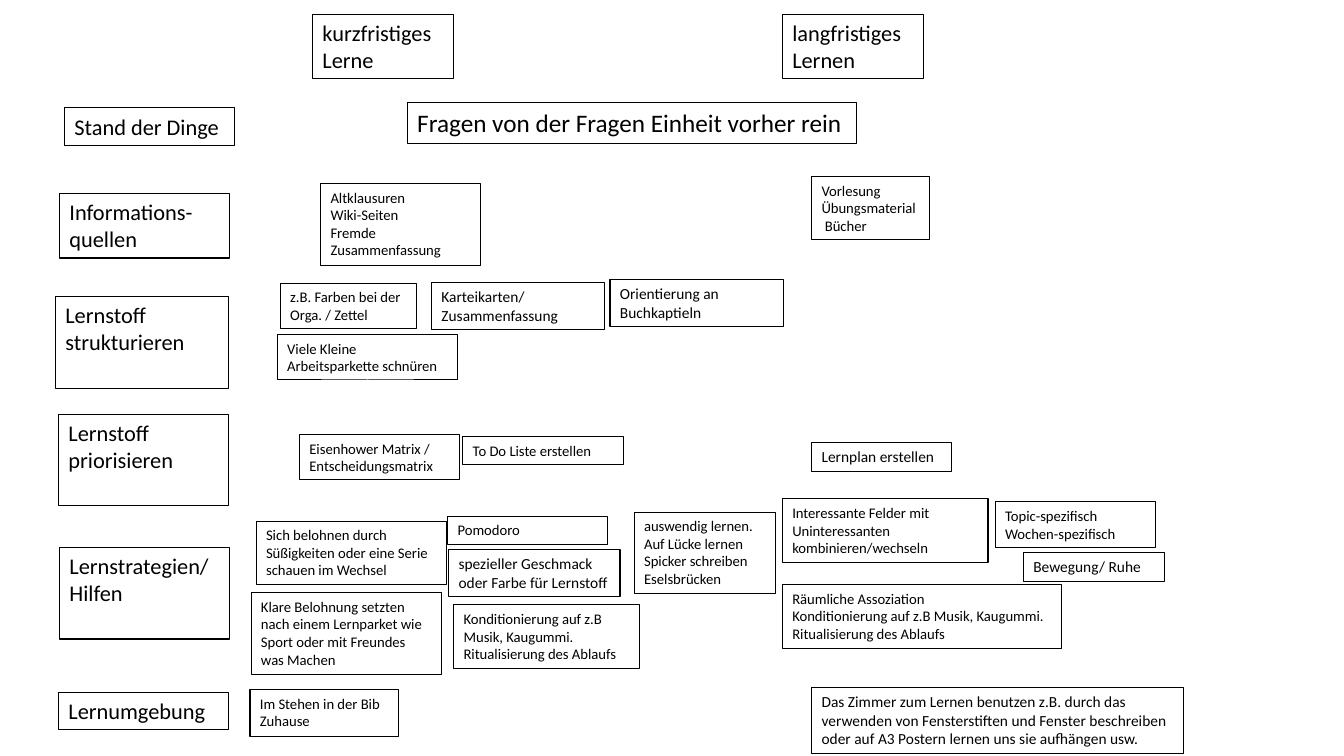
from pptx import Presentation
from pptx.dml.color import RGBColor
from pptx.enum.text import MSO_ANCHOR, MSO_AUTO_SIZE
from pptx.util import Inches, Pt

COLORS = {"ink": "000000"}
FONT = "Calibri"
HEADING_SIZE, QUESTION_SIZE, LARGE_NOTE, SMALL_NOTE = 16, 18, 11, 10.5

# Each entry: left, top, width, height in inches, then one string per paragraph.
HEADINGS = [
    (3.1, 0.14, 1.4, 0.64, "kurzfristiges Lerne"),
    (7.76, 0.14, 1.4, 0.64, "langfristiges Lernen"),
    (0.64, 1.07, 1.69, 0.37, "Stand der Dinge"),
    (0.59, 1.92, 1.69, 0.64, "Informations-quellen"),
    (0.55, 2.94, 1.72, 0.91, "Lernstoff strukturieren"),
    (0.58, 4.11, 1.69, 0.91, "Lernstoff priorisieren"),
    (0.59, 5.43, 1.69, 0.91, "Lernstrategien/Hilfen"),
    (0.58, 6.87, 1.69, 0.37, "Lernumgebung"),
]
QUESTIONS = [(4.04, 1.02, 4.46, 0.4, "Fragen von der Fragen Einheit vorher rein")]
SMALL_NOTES = [
    (3.18, 1.82, 1.59, 0.81, "Altklausuren", "Wiki-Seiten", "Fremde Zusammenfassung"),
    (8.05, 1.75, 1.17, 0.63, "Vorlesung", "Übungsmaterial", " Bücher"),
    (2.78, 2.81, 1.35, 0.45, "z.B. Farben bei der Orga. / Zettel"),
    (2.75, 3.32, 1.79, 0.45, "Viele Kleine Arbeitsparkette schnüren"),
    (2.97, 4.31, 1.59, 0.45, "Eisenhower Matrix / Entscheidungsmatrix"),
    (4.59, 4.33, 1.59, 0.28, "To Do Liste erstellen"),
    (2.54, 5.17, 1.89, 0.63,
     "Sich belohnen durch Süßigkeiten oder eine Serie schauen im Wechsel"),
    (2.49, 5.88, 1.89, 0.81,
     "Klare Belohnung setzten nach einem Lernparket wie Sport oder mit Freundes was Machen"),
    (4.44, 5.12, 1.59, 0.28, "Pomodoro"),
    (4.5, 6, 1.84, 0.63,
     "Konditionierung auf z.B Musik, Kaugummi.", "Ritualisierung des Ablaufs"),
    (6.29, 5.08, 1.4, 0.81,
     "auswendig lernen. Auf Lücke lernen", "Spicker schreiben", "Eselsbrücken"),
    (7.76, 4.95, 2.04, 0.63,
     "Interessante Felder mit Uninteressanten kombinieren/wechseln"),
    (7.76, 5.8, 2.77, 0.63, "Räumliche Assoziation",
     "Konditionierung auf z.B Musik, Kaugummi.", "Ritualisierung des Ablaufs"),
    (9.87, 4.98, 1.59, 0.45, "Topic-spezifisch Wochen-spezifisch"),
    (2.48, 6.84, 1.47, 0.47, "Im Stehen in der Bib", "Zuhause"),
]
LARGE_NOTES = [
    (4.28, 2.8, 1.72, 0.47, "Karteikarten/ Zusammenfassung"),
    (6.05, 2.77, 1.72, 0.47, "Orientierung an Buchkaptieln"),
    (8.05, 4.39, 1.39, 0.29, "Lernplan erstellen"),
    (4.45, 5.45, 1.7, 0.47, "spezieller Geschmack oder Farbe für Lernstoff"),
    (10.15, 5.48, 1.4, 0.29, "Bewegung/ Ruhe"),
    (8.05, 6.82, 3.69, 0.66,
     "Das Zimmer zum Lernen benutzen z.B. durch das verwenden von Fensterstiften "
     "und Fenster beschreiben oder auf A3 Postern lernen uns sie aufhängen usw."),
]


def add_framed_text(page, left, top, width, height, lines, size):
    box = page.shapes.add_textbox(*map(Inches, (left, top, width, height)))
    ink = RGBColor.from_string(COLORS["ink"])
    box.line.color.rgb = ink
    box.line.width = Pt(0.75)
    frame = box.text_frame
    frame.word_wrap = True
    frame.auto_size = MSO_AUTO_SIZE.NONE
    frame.vertical_anchor = MSO_ANCHOR.TOP
    frame.text = "\n".join(lines)
    for para in frame.paragraphs:
        for span in para.runs:
            span.font.name = FONT
            span.font.size = Pt(size)
            span.font.color.rgb = ink


def main():
    deck = Presentation()
    deck.slide_width, deck.slide_height = Inches(13.33), Inches(7.5)
    page = deck.slides.add_slide(deck.slide_layouts[6])
    groups = [
        (HEADINGS, HEADING_SIZE),
        (QUESTIONS, QUESTION_SIZE),
        (SMALL_NOTES, SMALL_NOTE),
        (LARGE_NOTES, LARGE_NOTE),
    ]
    for entries, size in groups:
        for left, top, width, height, *lines in entries:
            add_framed_text(page, left, top, width, height, lines, size)
    deck.save("out.pptx")


if __name__ == "__main__":
    main()
